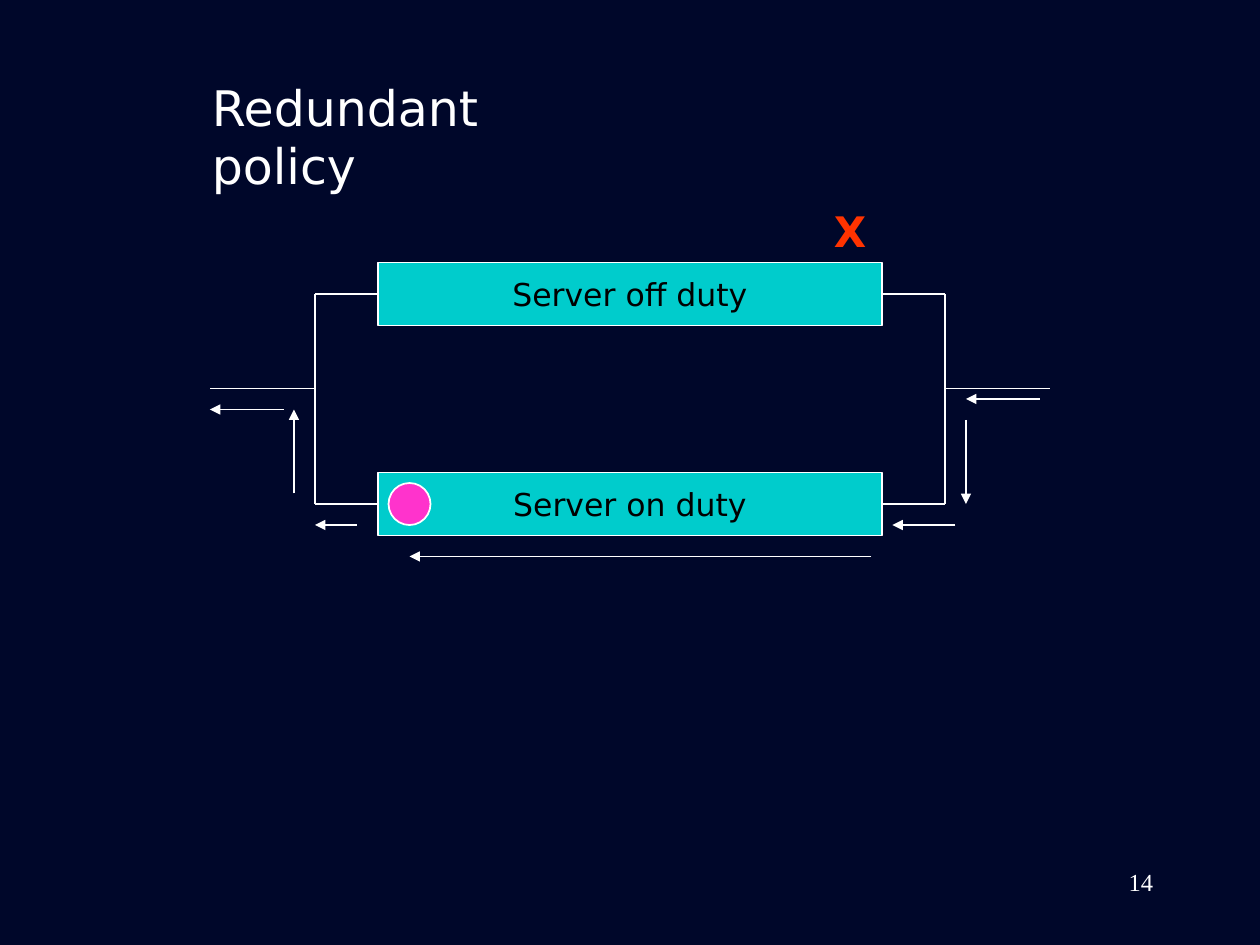
"""Build the slide on a redundant server policy."""
from lxml import etree
from pptx import Presentation
from pptx.dml.color import RGBColor
from pptx.enum.shapes import MSO_CONNECTOR, MSO_SHAPE
from pptx.enum.text import MSO_ANCHOR, PP_ALIGN
from pptx.oxml.ns import qn
from pptx.util import Inches, Pt

STRAIGHT = MSO_CONNECTOR.STRAIGHT
RECTANGLE, OVAL = MSO_SHAPE.RECTANGLE, MSO_SHAPE.OVAL
MIDDLE = MSO_ANCHOR.MIDDLE
LEFT, CENTER, RIGHT = PP_ALIGN.LEFT, PP_ALIGN.CENTER, PP_ALIGN.RIGHT
LEFT_SIDE, RIGHT_SIDE = 1, 3

WIDTH, HEIGHT = Inches(10), Inches(7.5)
COLUMNS, ROWS = 120, 90
COLORS = {"background": "00072A", "white": "FFFFFF", "server": "00CCCC",
          "black": "000000", "token": "FF33CC", "failure": "FF3300"}
SANS, SERIF = "DejaVu Sans", "Times New Roman"

LABELS = [
    ("14", (86, 82, 25, 6), SERIF, 14, "white", False, RIGHT, True),
    ("X", (78.25, 19, 5, 6), SANS, 24, "failure", True, LEFT, False),
    ("Redundant policy", (19, 6.75, 40.5, 6.75), SANS, 28, "white", False, LEFT, True),
]
SERVERS = [("Server off duty", 25), ("Server on duty", 45)]
SERVER_LEFT, SERVER_WIDTH, SERVER_HEIGHT = 36, 48, 6
TOKEN = (37, 46, 4, 4)
SIDES = [(LEFT_SIDE, 36, 30, 20), (RIGHT_SIDE, 84, 90, 100)]
BRANCH_ROW = 37
ARROWS = [
    ((99, 38), (92, 38)), ((92, 40), (92, 48)), ((91, 50), (85, 50)),
    ((83, 53), (39, 53)), ((34, 50), (30, 50)), ((28, 47), (28, 39)),
    ((27, 39), (20, 39)),
]


def place(column, row):
    return round(WIDTH * column / COLUMNS), round(HEIGHT * row / ROWS)


def color(name):
    return RGBColor.from_string(COLORS[name])


def write(box, text, font, size, tint, bold, align, wrap):
    frame = box.text_frame
    frame.text = text
    frame.word_wrap = wrap
    para = frame.paragraphs[0]
    para.alignment = align
    span = para.runs[0].font
    span.name, span.size, span.bold = font, Pt(size), bold
    span.color.rgb = color(tint)


def add_label(page, text, area, *style):
    box = page.shapes.add_textbox(*place(*area[:2]), *place(*area[2:]))
    write(box, text, *style)


def add_block(page, kind, area, fill):
    block = page.shapes.add_shape(kind, *place(*area[:2]), *place(*area[2:]))
    block.shadow.inherit = False
    block.fill.solid()
    block.fill.fore_color.rgb = color(fill)
    block.line.color.rgb = color("white")
    block.line.width = Pt(1)
    return block


def add_line(page, start, end, arrow=False):
    line = page.shapes.add_connector(STRAIGHT, *place(*start), *place(*end))
    line.line.color.rgb = color("white")
    line.line.width = Pt(1)
    if arrow:
        etree.SubElement(line.line._get_or_add_ln(), qn("a:tailEnd"), type="triangle")
    etree.SubElement(line._element.spPr, qn("a:effectLst"))
    return line


def main():
    deck = Presentation()
    deck.slide_width, deck.slide_height = WIDTH, HEIGHT
    page = deck.slides.add_slide(deck.slide_layouts[6])
    page.background.fill.solid()
    page.background.fill.fore_color.rgb = color("background")

    servers = []
    for text, top in SERVERS:
        area = (SERVER_LEFT, top, SERVER_WIDTH, SERVER_HEIGHT)
        server = add_block(page, RECTANGLE, area, "server")
        write(server, text, SANS, 18, "black", False, CENTER, False)
        server.text_frame.vertical_anchor = MIDDLE
        servers.append((server, top + SERVER_HEIGHT / 2))

    for side, edge, rail, outer in SIDES:
        for server, row in servers:
            wire = add_line(page, (edge, row), (rail, row))
            wire.begin_connect(server, side)
        add_line(page, (rail, servers[0][1]), (rail, servers[-1][1]))
        add_line(page, (rail, BRANCH_ROW), (outer, BRANCH_ROW))

    add_block(page, OVAL, TOKEN, "token")
    for start, end in ARROWS:
        add_line(page, start, end, arrow=True)
    for label in LABELS:
        add_label(page, *label)
    deck.save("out.pptx")


if __name__ == "__main__":
    main()
